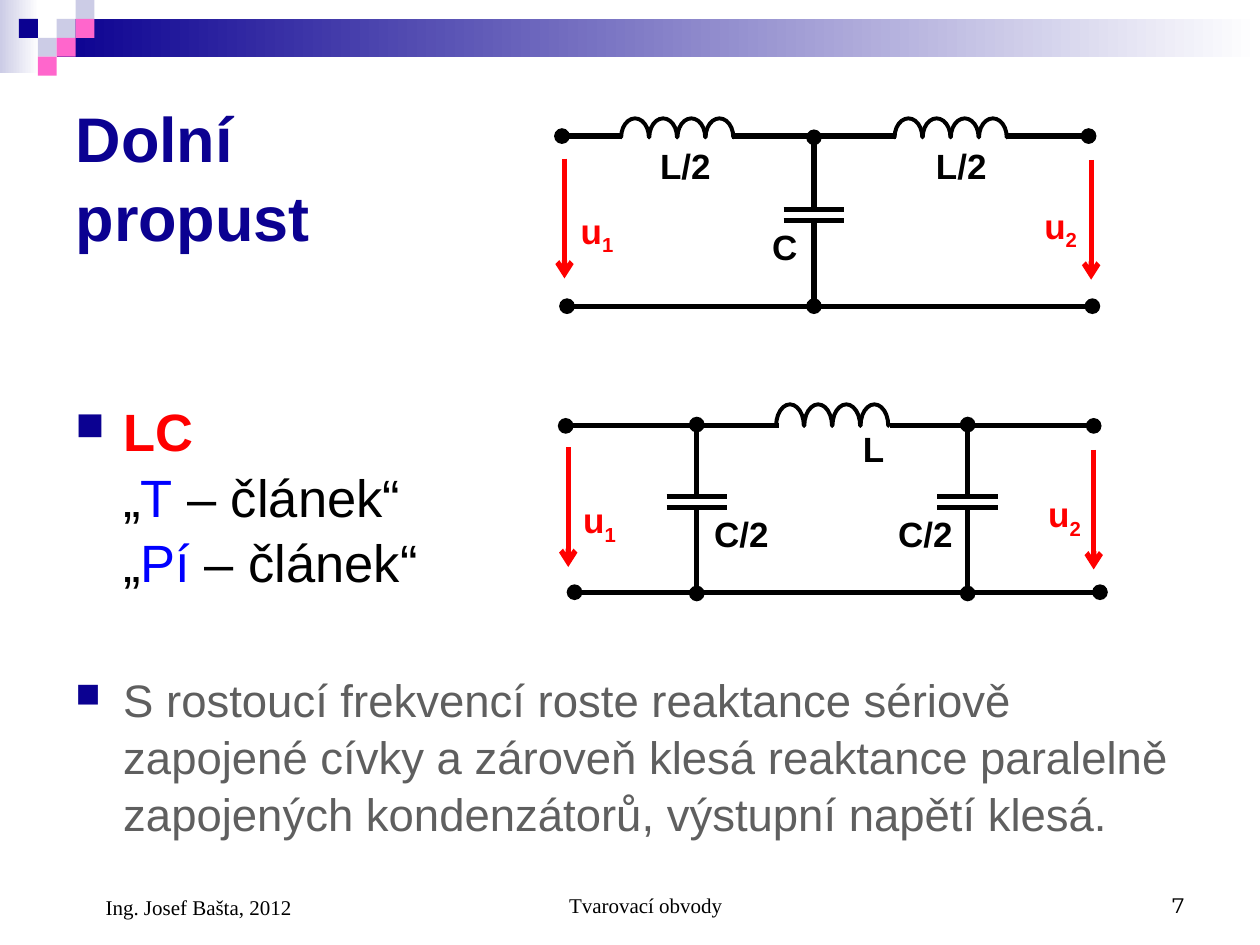
"""Build the slide on LC low-pass filters with a T and a Pi circuit."""
from lxml import etree
from pptx import Presentation
from pptx.dml.color import RGBColor
from pptx.enum.shapes import MSO_CONNECTOR, MSO_SHAPE
from pptx.enum.text import MSO_ANCHOR, PP_ALIGN
from pptx.oxml.ns import qn
from pptx.util import Inches, Pt

RECT, ARC, LINE = MSO_SHAPE.RECTANGLE, MSO_SHAPE.BLOCK_ARC, MSO_CONNECTOR.STRAIGHT
TOP, MIDDLE, BOTTOM = MSO_ANCHOR.TOP, MSO_ANCHOR.MIDDLE, MSO_ANCHOR.BOTTOM
LEFT, CENTER, RIGHT = PP_ALIGN.LEFT, PP_ALIGN.CENTER, PP_ALIGN.RIGHT

NAVY, PALE, PINK, WHITE = "0B0191", "CCCCE6", "FF66CC", "FFFFFF"
BLACK, RED, BLUE, GREY = "000000", "FF0000", "0000FF", "5F5F5F"
ARIAL, TIMES, MONTSERRAT = "Arial", "Times New Roman", "Montserrat"

# runs: (text, size, colour, bold)
TITLE = [("Dolní propust", 36, NAVY, True)]
BULLETS = [
    ((0.5, 3.1, 3.5, 1.87), [
        ("LC\n", 30, RED, True),
        ("„", 30, BLACK, False), ("T", 30, BLUE, False),
        (" – článek“\n", 30, BLACK, False),
        ("„", 30, BLACK, False), ("Pí", 30, BLUE, False),
        (" – článek“", 30, BLACK, False)]),
    ((0.5, 5.27, 9, 1.41), [
        ("S rostoucí frekvencí roste reaktance sériově zapojené cívky a zároveň "
         "klesá reaktance paralelně zapojených kondenzátorů, výstupní napětí klesá.",
         26, GREY, False)]),
]
FOOTERS = [
    ("Ing. Josef Bašta, 2012", (0.5, 6.83, 2.33, 0.52), LEFT, TIMES, 0.24),
    ("Tvarovací obvody", (3.42, 6.83, 3.17, 0.5), CENTER, TIMES, 0.24),
    ("7", (7.17, 6.83, 2.33, 0.5), RIGHT, MONTSERRAT, 0),
]
BANDS = [((0, 0, 0.31, 0.58), PALE), ((0.45, 0.15, 9.55, 0.3), NAVY)]
CELL = 0.15
SQUARES = [(3, 1, PALE), (4, 0, PALE), (4, 1, PINK), (2, 2, PALE),
           (1, 1, NAVY), (3, 2, PINK), (2, 3, PINK)]

# wires: (x1, x2, y, start end, finish end); coils: (x, y, height)
CIRCUITS = [
    {"wires": [(4.5, 8.67, 2.43, "oval", "oval"), (4.46, 4.94, 1.08, "oval", None),
               (5.81, 7.11, 1.08, None, None), (7.99, 8.64, 1.08, None, "oval")],
     "coils": [(4.93, 0.94, 0.3), (7.1, 0.94, 0.3)],
     "capacitors": [(6.46, 1.09)],
     "voltages": [(4.48, 1.26), (8.66, 1.27)],
     "labels": [("u", "1", 4.51, 1.61, 0.54), ("u", "2", 8.19, 1.57, 0.56),
                ("C", "", 6.03, 1.74, 0.46), ("L/2", "", 5.14, 1.1, 0.64),
                ("L/2", "", 7.33, 1.1, 0.64)]},
    {"wires": [(4.56, 8.73, 4.7, "oval", "oval"), (4.49, 6.18, 3.38, "oval", None),
               (7.06, 8.68, 3.38, None, "oval")],
     "coils": [(6.16, 3.21, 0.34)],
     "capacitors": [(5.53, 3.37), (7.68, 3.37)],
     "voltages": [(4.51, 3.55), (8.68, 3.57)],
     "labels": [("u", "1", 4.53, 3.91, 0.54), ("u", "2", 8.22, 3.86, 0.56),
                ("L", "", 6.75, 3.34, 0.46), ("C/2", "", 7.03, 4.02, 0.67),
                ("C/2", "", 5.57, 4.02, 0.67)]},
]


def rgb(color):
    return RGBColor.from_string(color)


def box(at):
    return [Inches(v) for v in at]


def add_shape(s, kind, at, color):
    sp = s.shapes.add_shape(kind, *box(at))
    sp.shadow.inherit = False
    sp.fill.solid()
    sp.fill.fore_color.rgb = rgb(color)
    sp.line.fill.background()
    return sp


def add_band(s, at, color):
    sp = add_shape(s, RECT, at, color)
    sp.fill.gradient()
    sp.fill.gradient_angle = 180
    for stop, shade, place in zip(sp.fill.gradient_stops, (WHITE, color), (0, 1)):
        stop.color.rgb = rgb(shade)
        stop.position = place


def add_line(s, x1, y1, x2, y2, head=None, tail=None, color=BLACK):
    sp = s.shapes.add_connector(LINE, *box((x1, y1, x2, y2)))
    sp.line.color.rgb = rgb(color)
    sp.line.width = Pt(3)
    ln = sp.line._get_or_add_ln()
    for tag, end in (("a:headEnd", head), ("a:tailEnd", tail)):
        if end:
            etree.SubElement(ln, qn(tag), type=end)
    etree.SubElement(sp._element.spPr, qn("a:effectLst"))


def add_run(p, text, size, color, bold=False, font=ARIAL):
    r = p.add_run()
    r.text = text
    r.font.size, r.font.bold, r.font.name = Pt(size), bold, font
    r.font.color.rgb = rgb(color)
    return r


def add_runs(p, runs):
    for text, size, color, bold in runs:
        add_run(p, text.rstrip("\n"), size, color, bold)
        if text.endswith("\n"):
            p.add_line_break()


def set_frame(sp, anchor, align=LEFT):
    tf = sp.text_frame
    tf.word_wrap = True
    tf.vertical_anchor = anchor
    p = tf.paragraphs[0]
    p.alignment = align
    return p


def add_text(s, at, anchor=TOP, align=LEFT):
    return set_frame(s.shapes.add_textbox(*box(at)), anchor, align)


def set_bullet(p):
    pPr = p._p.get_or_add_pPr()
    pPr.set("marL", str(Inches(0.38)))
    pPr.set("indent", str(Inches(-0.38)))
    clr = etree.SubElement(pPr, qn("a:buClr"))
    etree.SubElement(clr, qn("a:srgbClr"), val=NAVY)
    etree.SubElement(pPr, qn("a:buSzPct"), val="75000")
    etree.SubElement(pPr, qn("a:buChar"), char="■")


def add_coil(s, x, y, height):
    for i in range(4):
        sp = add_shape(s, ARC, (x + i * 0.2233, y, 0.22, height), "CBBDFF")
        for k, value in enumerate((107.89, 0.11, 0)):
            sp.adjustments[k] = value
        sp.line.color.rgb = rgb(BLACK)
        sp.line.width = Pt(2.25)


def add_capacitor(s, x, y):
    add_line(s, x, y, x, y + 0.55, head="oval")
    add_line(s, x, y + 0.68, x, y + 1.34, tail="oval")
    for gap in (0.57, 0.66):
        add_line(s, x - 0.24, y + gap, x + 0.24, y + gap)


def add_circuit(s, circuit):
    for x1, x2, y, head, tail in circuit["wires"]:
        add_line(s, x1, y, x2, y, head, tail)
    for coil in circuit["coils"]:
        add_coil(s, *coil)
    for capacitor in circuit["capacitors"]:
        add_capacitor(s, *capacitor)
    for x, y in circuit["voltages"]:
        add_line(s, x, y, x, y + 0.95, tail="arrow", color=RED)
    for text, sub, x, y, width in circuit["labels"]:
        p = add_text(s, (x, y, width, 0.48 if sub else 0.44))
        color = RED if sub else BLACK
        add_run(p, text, 20, color, True)
        if sub:
            r = add_run(p, sub, 20, color, True)
            r._r.get_or_add_rPr().set("baseline", "-25000")


def main():
    prs = Presentation()
    prs.slide_width, prs.slide_height = Inches(10), Inches(7.5)
    s = prs.slides.add_slide(prs.slide_layouts[5])
    for at, color in BANDS:
        add_band(s, at, color)
    for col, row, color in SQUARES:
        add_shape(s, RECT, (col * CELL, row * CELL, CELL, CELL), color)

    title = s.shapes.title
    title.left, title.top, title.width, title.height = box((0.5, 0.5, 2.8, 1.78))
    p = set_frame(title, MIDDLE)
    p.line_spacing = 1.04
    add_runs(p, TITLE)

    for circuit in CIRCUITS:
        add_circuit(s, circuit)
    for at, runs in BULLETS:
        p = add_text(s, at)
        set_bullet(p)
        p.line_spacing = 1.04
        add_runs(p, runs)
    for text, at, align, font, indent in FOOTERS:
        p = add_text(s, at, BOTTOM, align)
        p._p.get_or_add_pPr().set("marL", str(Inches(indent)))
        add_run(p, text, 12, BLACK, font=font)
    prs.save("out.pptx")


if __name__ == "__main__":
    main()
